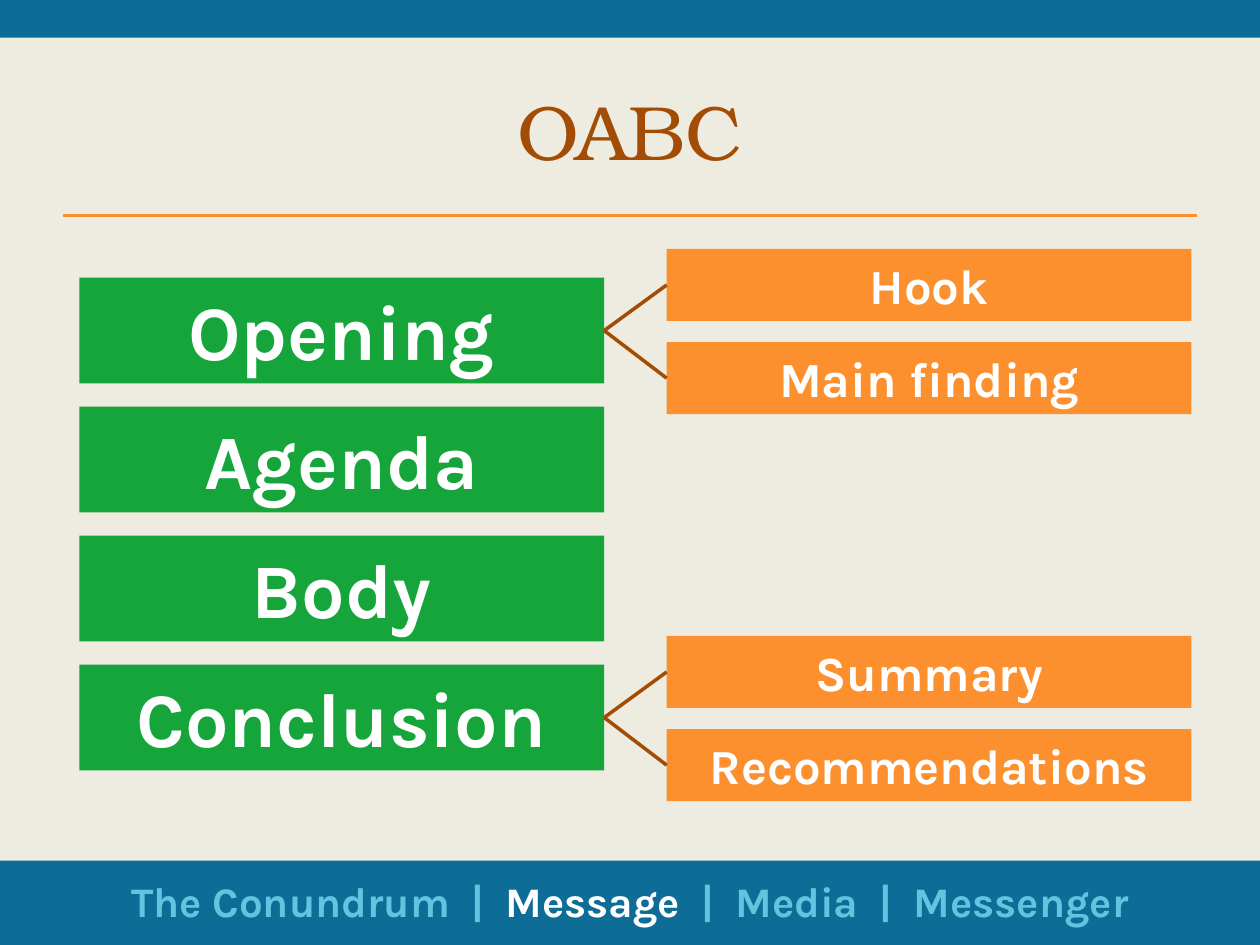
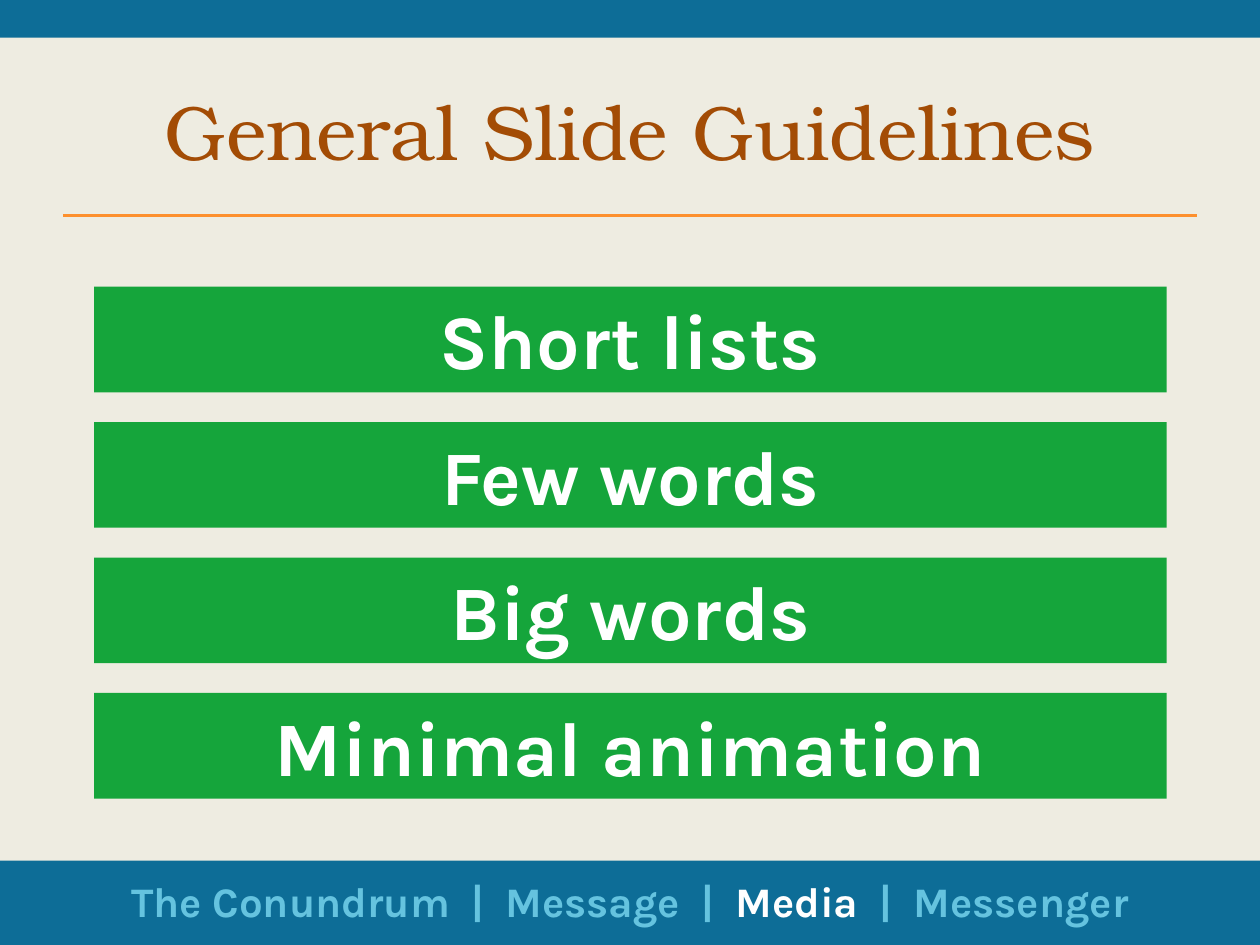
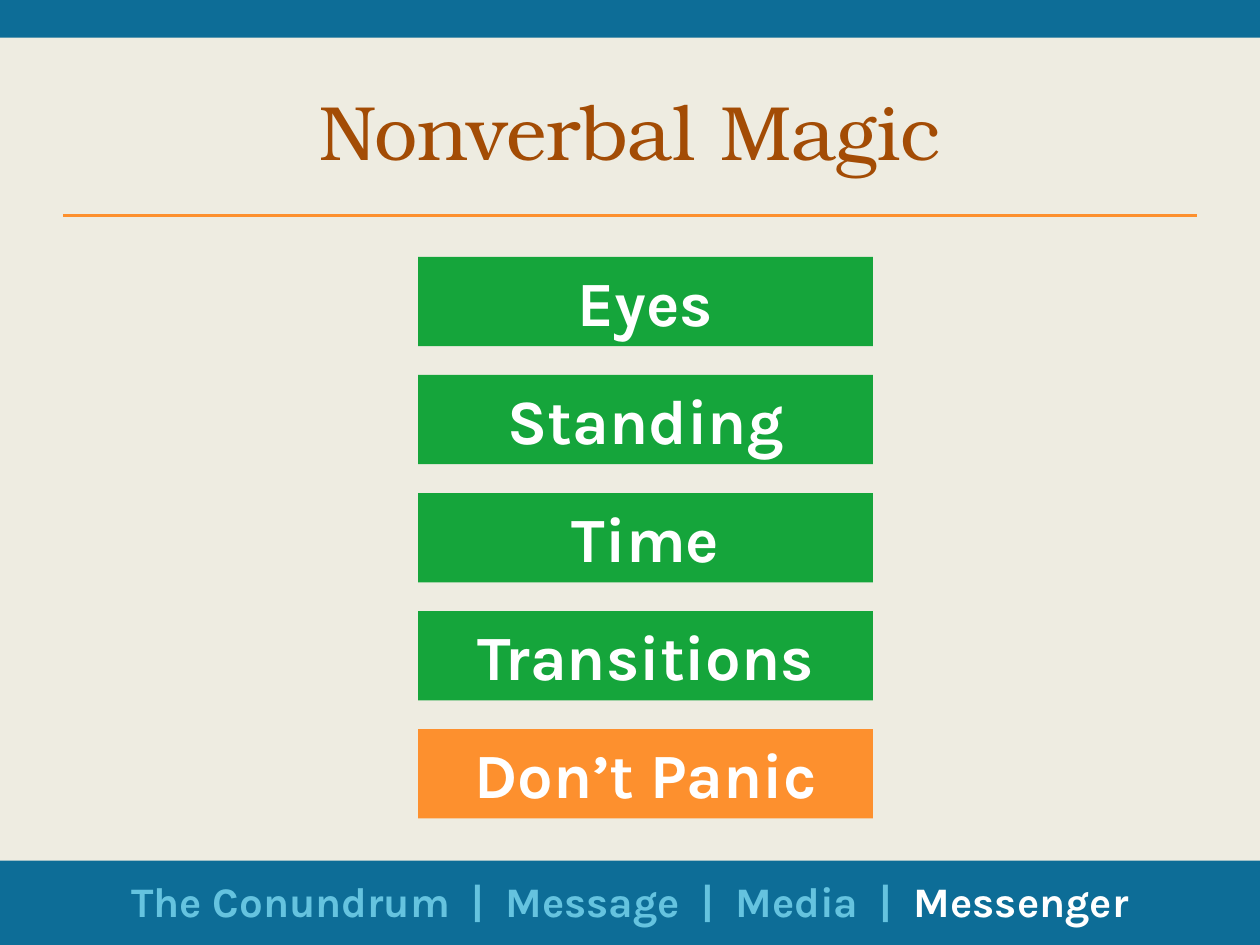
from pptx import Presentation
from pptx.dml.color import RGBColor
from pptx.enum.shapes import MSO_CONNECTOR, MSO_SHAPE
from pptx.enum.text import MSO_ANCHOR, MSO_AUTO_SIZE, PP_ALIGN
from pptx.oxml.ns import qn
from pptx.util import Cm, Pt

RECTANGLE = MSO_SHAPE.RECTANGLE
STRAIGHT = MSO_CONNECTOR.STRAIGHT
TOP, MIDDLE = MSO_ANCHOR.TOP, MSO_ANCHOR.MIDDLE
GROW, FIXED = MSO_AUTO_SIZE.SHAPE_TO_FIT_TEXT, MSO_AUTO_SIZE.NONE
CENTER = PP_ALIGN.CENTER

CREAM, BLUE, LIGHT_BLUE = "EEECE1", "0D6D97", "65C3DF"
GREEN, ORANGE, BROWN, WHITE = "15A53B", "FD902E", "A34C05", "FFFFFF"
SERIF, SANS = "TeX Gyre Bonum", "Karla"

PAGE_WIDTH, PAGE_HEIGHT = 25.4, 19.05
MARGIN, CONTENT_WIDTH = 1.27, 22.86
SECTIONS = ["The Conundrum", "Message", "Media", "Messenger"]
TITLE_ONLY = 5


def color(hex_string):
    return RGBColor.from_string(hex_string)


def write(shape, text, size=24, font=SANS, ink=WHITE, bold=True, anchor=TOP, fit=GROW):
    """Fill a shape with one centred paragraph; text is a string or (string, ink) pairs."""
    frame = shape.text_frame
    frame.word_wrap = True
    frame.auto_size = fit
    frame.vertical_anchor = anchor
    para = frame.paragraphs[0]
    para.alignment = CENTER
    for words, span_ink in [(text, ink)] if isinstance(text, str) else text:
        span = para.add_run()
        span.text = words
        span.font.name = font
        span.font.size = Pt(size)
        span.font.bold = bold
        span.font.color.rgb = color(span_ink)


class Deck:
    """Holds the presentation, its shared style and the current page."""

    def __init__(self):
        self.deck = Presentation()
        self.deck.slide_width = Cm(PAGE_WIDTH)
        self.deck.slide_height = Cm(PAGE_HEIGHT)
        backdrop = self.deck.slide_master.background.fill
        backdrop.solid()
        backdrop.fore_color.rgb = color(CREAM)
        self.page = None

    def start_page(self, title, section):
        self.page = self.deck.slides.add_slide(self.deck.slide_layouts[TITLE_ONLY])
        self.box(0, 17.35, PAGE_WIDTH, 1.7, BLUE)
        self.box(0, 0, PAGE_WIDTH, 0.76, BLUE)
        self.line(MARGIN, 4.34, MARGIN + CONTENT_WIDTH, 4.34, ORANGE)
        self.title(title)
        self.footer(section)

    def title(self, text):
        holder = self.page.shapes.title
        holder.left, holder.top = Cm(MARGIN), Cm(1.27)
        holder.width, holder.height = Cm(CONTENT_WIDTH), Cm(2.67)
        write(holder, text, size=44, font=SERIF, ink=BROWN, bold=False,
              anchor=MIDDLE, fit=FIXED)

    def footer(self, current):
        """List the sections, with the current one in white."""
        spans = []
        for section in SECTIONS:
            if spans:
                spans.append(("  |  ", LIGHT_BLUE))
            spans.append((section, WHITE if section == current else LIGHT_BLUE))
        box = self.page.shapes.add_textbox(Cm(MARGIN), Cm(17.53), Cm(CONTENT_WIDTH), Cm(1.27))
        write(box, spans)

    def box(self, left, top, width, height, fill, text="", size=44):
        box = self.page.shapes.add_shape(RECTANGLE, Cm(left), Cm(top), Cm(width), Cm(height))
        box.shadow.inherit = False
        box.fill.solid()
        box.fill.fore_color.rgb = color(fill)
        box.line.fill.background()
        if text:
            write(box, text, size=size)

    def stack(self, labels, left, top, width, height, pitch, fill=GREEN, size=44):
        for row, label in enumerate(labels):
            self.box(left, top + row * pitch, width, height, fill, label, size)

    def line(self, x1, y1, x2, y2, ink):
        line = self.page.shapes.add_connector(STRAIGHT, Cm(x1), Cm(y1), Cm(x2), Cm(y2))
        line.line.color.rgb = color(ink)
        line.line.width = Pt(2)
        properties = line._element.spPr
        properties.append(properties.makeelement(qn("a:effectLst"), {}))


def add_structure(deck):
    deck.start_page("OABC", "Message")
    left, top, width, height, pitch = 1.6, 5.6, 10.58, 2.13, 2.6
    parts = ["Opening", "Agenda", "Body", "Conclusion"]
    deck.stack(parts, left, top, width, height, pitch)

    branch_left, branch_height, branch_pitch = 13.44, 1.45, 1.88
    branches = {"Opening": ["Hook", "Main finding"],
                "Conclusion": ["Summary", "Recommendations"]}
    for part, labels in branches.items():
        part_top = top + parts.index(part) * pitch
        branch_top = part_top - 0.58
        deck.stack(labels, branch_left, branch_top, width, branch_height, branch_pitch,
                   fill=ORANGE, size=28)
        for row in range(len(labels)):
            deck.line(left + width, part_top + height / 2, branch_left,
                      branch_top + row * branch_pitch + branch_height / 2, BROWN)


def add_guidelines(deck):
    deck.start_page("General Slide Guidelines", "Media")
    deck.stack(["Short lists", "Few words", "Big words", "Minimal animation"],
               1.9, 5.78, 21.62, 2.13, 2.73)


def add_nonverbal(deck):
    deck.start_page("Nonverbal Magic", "Messenger")
    left, top, width, height, pitch = 8.43, 5.18, 9.17, 1.8, 2.38
    habits = ["Eyes", "Standing", "Time", "Transitions"]
    deck.stack(habits, left, top, width, height, pitch, size=36)
    deck.box(left, top + len(habits) * pitch, width, height, ORANGE, "Don’t Panic", 36)


def main():
    deck = Deck()
    add_structure(deck)
    add_guidelines(deck)
    add_nonverbal(deck)
    deck.deck.save("out.pptx")


if __name__ == "__main__":
    main()
